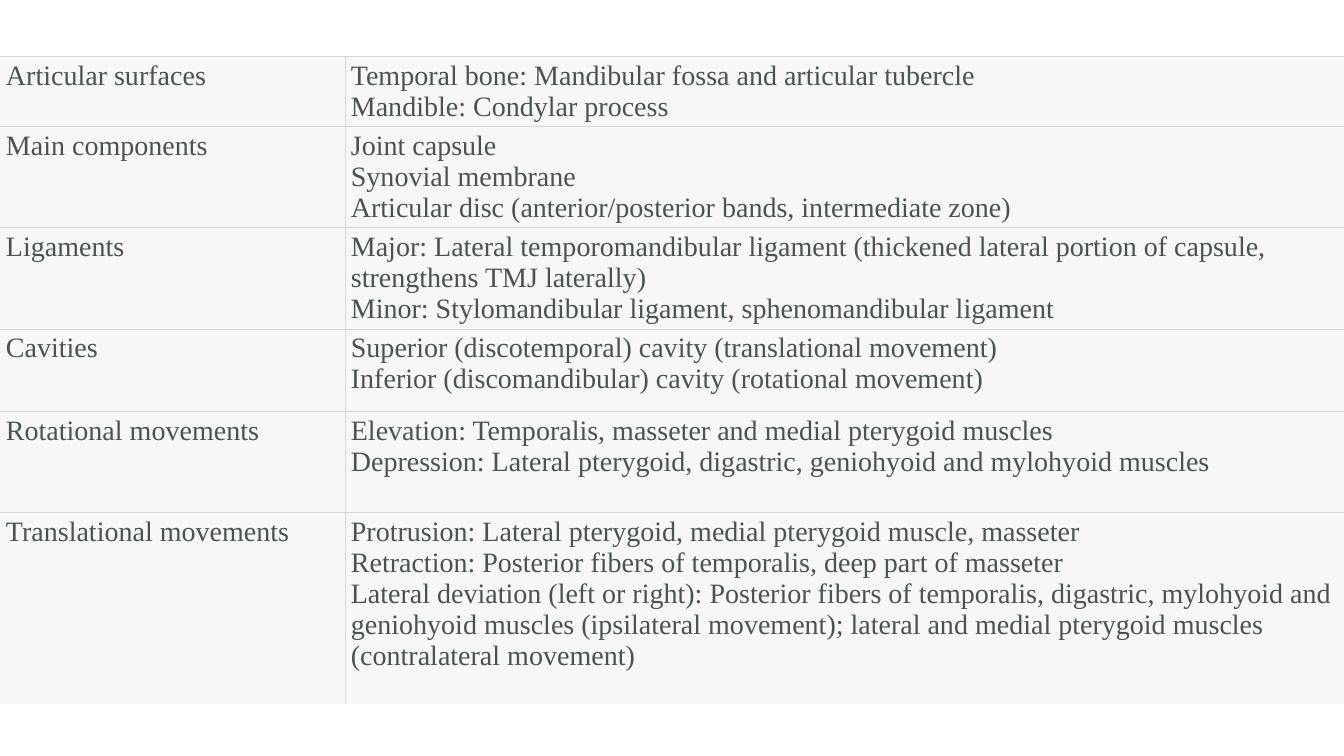
from dataclasses import dataclass

from lxml import etree
from pptx import Presentation
from pptx import util as u
from pptx.dml.color import RGBColor
from pptx.oxml import ns


@dataclass(frozen=True)
class Theme:
    font: str = "Times New Roman"
    size: float = 20
    text: str = "495354"
    fill: str = "F7F7F7"
    border: str = "D8D8D8"
    border_width: float = 0.6


COLUMN_WIDTHS = (8.69, 25.17)
JOINT_FACTS = [
    (1.63, "Articular surfaces", [
        "Temporal bone: Mandibular fossa and articular tubercle",
        "Mandible: Condylar process"]),
    (2.08, "Main components", [
        "Joint capsule",
        "Synovial membrane",
        "Articular disc (anterior/posterior bands, intermediate zone)"]),
    (2.54, "Ligaments", [
        "Major: Lateral temporomandibular ligament (thickened lateral portion "
        "of capsule, strengthens TMJ laterally)",
        "Minor: Stylomandibular ligament, sphenomandibular ligament"]),
    (2.08, "Cavities", [
        "Superior (discotemporal) cavity (translational movement)",
        "Inferior (discomandibular) cavity (rotational movement)"]),
    (2.54, "Rotational movements", [
        "Elevation: Temporalis, masseter and medial pterygoid muscles",
        "Depression: Lateral pterygoid, digastric, geniohyoid and mylohyoid muscles"]),
    (4.83, "Translational movements", [
        "Protrusion: Lateral pterygoid, medial pterygoid muscle, masseter",
        "Retraction: Posterior fibers of temporalis, deep part of masseter",
        "Lateral deviation (left or right): Posterior fibers of temporalis, "
        "digastric, mylohyoid and geniohyoid muscles (ipsilateral movement); "
        "lateral and medial pterygoid muscles (contralateral movement)"]),
]


class SlideBuilder:
    def __init__(self, slide, theme):
        self.slide = slide
        self.theme = theme

    def table(self, left, top, widths, rows):
        heights = [height for height, _, _ in rows]
        frame = self.slide.shapes.add_table(
            len(rows), len(widths), u.Cm(left), u.Cm(top),
            u.Cm(sum(widths)), u.Cm(sum(heights)))
        table = frame.table
        table.first_row = table.horz_banding = False
        for column, width in zip(table.columns, widths):
            column.width = u.Cm(width)
        for index, (height, label, details) in enumerate(rows):
            table.rows[index].height = u.Cm(height)
            is_last = index == len(rows) - 1
            self.cell(table.cell(index, 0), [label], "RT" if is_last else "RTB")
            self.cell(table.cell(index, 1), details, "LRT" if is_last else "LRTB")

    def cell(self, cell, lines, sides):
        cell.margin_left = cell.margin_right = u.Cm(0.15)
        cell.margin_top = cell.margin_bottom = u.Cm(0.1)
        cell.fill.solid()
        cell.fill.fore_color.rgb = RGBColor.from_string(self.theme.fill)
        self.borders(cell, sides)
        paragraph = cell.text_frame.paragraphs[0]
        for index, line in enumerate(lines):
            if index:
                paragraph.add_line_break()
            self.run(paragraph, line)

    def run(self, paragraph, content):
        run = paragraph.add_run()
        run.text = content
        run.font.name = self.theme.font
        run.font.size = u.Pt(self.theme.size)
        run.font.color.rgb = RGBColor.from_string(self.theme.text)

    def borders(self, cell, sides):
        """Draw the named sides (L, R, T, B) and blank the others."""
        properties = cell._tc.get_or_add_tcPr()
        for position, side in enumerate("LRTB"):
            line = etree.Element(ns.qn(f"a:ln{side}"))
            if side in sides:
                line.set("w", str(int(u.Pt(self.theme.border_width))))
                fill = etree.SubElement(line, ns.qn("a:solidFill"))
                etree.SubElement(fill, ns.qn("a:srgbClr"), val=self.theme.border)
            else:
                etree.SubElement(line, ns.qn("a:noFill"))
            properties.insert(position, line)


def main():
    presentation = Presentation()
    presentation.slide_width = u.Cm(33.86)
    presentation.slide_height = u.Cm(19.05)
    slide = presentation.slides.add_slide(presentation.slide_layouts[6])
    builder = SlideBuilder(slide, Theme())
    builder.table(0, 1.42, COLUMN_WIDTHS, JOINT_FACTS)
    presentation.save("out.pptx")


if __name__ == "__main__":
    main()
